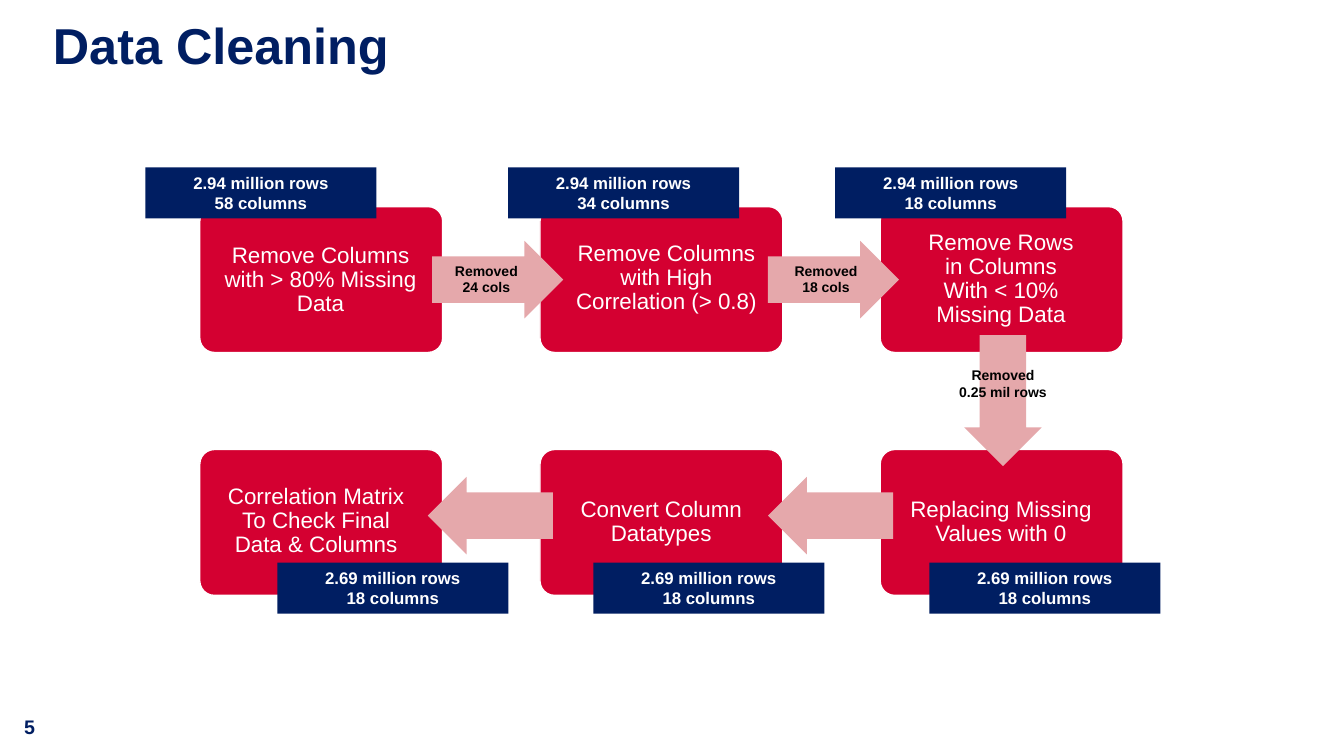
from dataclasses import dataclass

import pptx
import pptx.dml.color
import pptx.enum.shapes
import pptx.enum.text
import pptx.util

Pt = pptx.util.Pt
Shape = pptx.enum.shapes.MSO_SHAPE
Align = pptx.enum.text.PP_ALIGN
Anchor = pptx.enum.text.MSO_ANCHOR


@dataclass(frozen=True)
class Theme:
    font: str = "Arial"
    navy: str = "001E62"
    red: str = "D40031"
    pink: str = "E5A8AB"
    white: str = "FFFFFF"
    black: str = "000000"
    title_size: int = 36
    card_size: int = 16
    number_size: int = 14
    count_size: int = 12
    removed_size: int = 10


@dataclass(frozen=True)
class Box:
    left: float
    top: float
    width: float
    height: float


@dataclass(frozen=True)
class Style:
    size: int
    color: str
    bold: bool = True
    align: Align = Align.CENTER
    anchor: Anchor = Anchor.TOP
    inset_x: float = 7.2
    inset_y: float = 3.6
    line_spacing: float = 1.0


@dataclass(frozen=True)
class Step:
    column: int
    row: int
    text: str
    text_box: Box
    counts: str
    counts_left: float


@dataclass(frozen=True)
class Arrow:
    box: Box
    rotation: int = 0


@dataclass(frozen=True)
class Removal:
    text: str
    box: Box


THEME = Theme()
TITLE = Style(THEME.title_size, THEME.navy, align=Align.LEFT, inset_x=0, inset_y=0, line_spacing=0.9)
NUMBER = Style(THEME.number_size, THEME.navy, align=Align.LEFT)
CARD = Style(THEME.card_size, THEME.white, bold=False, anchor=Anchor.MIDDLE,
             inset_x=6.5, inset_y=6.5, line_spacing=0.9)
COUNTS = Style(THEME.count_size, THEME.white)
REMOVED = Style(THEME.removed_size, THEME.black, inset_x=5, inset_y=7.2)

CARD_LEFT, CARD_PITCH = 142.7, 243
CARD_TOPS = (147.6, 321.1)
CARD_WIDTH, CARD_HEIGHT = 173.5, 104.2
COUNTS_TOPS = (119.6, 401.9)
COUNTS_WIDTH, COUNTS_HEIGHT = 165, 36.4

STEPS = (
    Step(0, 0, "Remove Columns with > 80% Missing Data",
         Box(149, 151.2, 160, 98), "2.94 million rows\n58 columns", 103.9),
    Step(1, 0, "Remove Columns with High Correlation (> 0.8)",
         Box(399, 149.8, 154, 98), "2.94 million rows\n34 columns", 362.9),
    Step(2, 0, "Remove Rows\vin Columns\vWith < 10%\vMissing Data",
         Box(651, 150.5, 128, 98), "2.94 million rows\n18 columns", 596.6),
    Step(2, 1, "Replacing Missing Values with 0",
         Box(631.5, 324, 167, 98), "2.69 million rows\n18 columns", 663.8),
    Step(1, 1, "Convert Column Datatypes",
         Box(388.8, 324, 167, 98), "2.69 million rows\n18 columns", 423.8),
    Step(0, 1, "Correlation Matrix\vTo Check Final\vData & Columns",
         Box(153.3, 323.3, 145, 98), "2.69 million rows\n18 columns", 198.1),
)
ARROWS = (
    Arrow(Box(308.7, 172.1, 93.6, 55.4)),
    Arrow(Box(548.6, 172.1, 93.6, 55.4)),
    Arrow(Box(669.6, 258.5, 93.6, 55.4), 90),
    Arrow(Box(548.6, 340.6, 89.3, 55.4), 180),
    Arrow(Box(305.6, 340.6, 89.3, 55.4), 180),
)
REMOVALS = (
    Removal("Removed\v24 cols", Box(316.8, 180, 61.2, 38.9)),
    Removal("Removed\v18 cols", Box(559.4, 180, 61.2, 38.9)),
    Removal("Removed\v0.25 mil rows", Box(677.5, 254.9, 77.8, 38.9)),
)


def rgb(color: str) -> pptx.dml.color.RGBColor:
    return pptx.dml.color.RGBColor.from_string(color)


def lengths(box: Box) -> tuple:
    return Pt(box.left), Pt(box.top), Pt(box.width), Pt(box.height)


def write(shape, text: str, style: Style) -> None:
    frame = shape.text_frame
    frame.word_wrap = True
    frame.vertical_anchor = style.anchor
    frame.margin_left = frame.margin_right = Pt(style.inset_x)
    frame.margin_top = frame.margin_bottom = Pt(style.inset_y)
    frame.text = text
    for para in frame.paragraphs:
        para.alignment = style.align
        para.line_spacing = style.line_spacing
        for span in para.runs:
            span.font.name = THEME.font
            span.font.size = Pt(style.size)
            span.font.bold = style.bold
            span.font.color.rgb = rgb(style.color)


def add_text(page, box: Box, text: str, style: Style) -> None:
    write(page.shapes.add_textbox(*lengths(box)), text, style)


def add_filled(page, kind: Shape, box: Box, color: str):
    shape = page.shapes.add_shape(kind, *lengths(box))
    shape.shadow.inherit = False
    shape.fill.solid()
    shape.fill.fore_color.rgb = rgb(color)
    shape.line.fill.background()
    return shape


def add_card(page, step: Step) -> None:
    box = Box(CARD_LEFT + step.column * CARD_PITCH, CARD_TOPS[step.row], CARD_WIDTH, CARD_HEIGHT)
    card = add_filled(page, Shape.ROUNDED_RECTANGLE, box, THEME.red)
    card.adjustments[0] = 0.1
    card.line.color.rgb = rgb(THEME.white)
    card.line.width = Pt(1)
    add_text(page, step.text_box, step.text, CARD)


def add_counts(page, step: Step) -> None:
    box = Box(step.counts_left, COUNTS_TOPS[step.row], COUNTS_WIDTH, COUNTS_HEIGHT)
    write(add_filled(page, Shape.RECTANGLE, box, THEME.navy), step.counts, COUNTS)


def add_arrow(page, arrow: Arrow) -> None:
    shape = add_filled(page, Shape.RIGHT_ARROW, arrow.box, THEME.pink)
    shape.adjustments[0] = 0.6
    shape.adjustments[1] = 0.5
    shape.rotation = arrow.rotation


def main() -> None:
    deck = pptx.Presentation()
    deck.slide_width, deck.slide_height = Pt(960), Pt(540)
    page = deck.slides.add_slide(deck.slide_layouts[6])
    add_text(page, Box(10.1, 506.9, 47.5, 24.5), "5", NUMBER)
    add_text(page, Box(37.8, 15.1, 869, 60.5), "Data Cleaning", TITLE)
    for step in STEPS:
        add_card(page, step)
    for step in STEPS:
        add_counts(page, step)
    for arrow in ARROWS:
        add_arrow(page, arrow)
    for removal in REMOVALS:
        add_text(page, removal.box, removal.text, REMOVED)
    deck.save("out.pptx")


if __name__ == "__main__":
    main()
